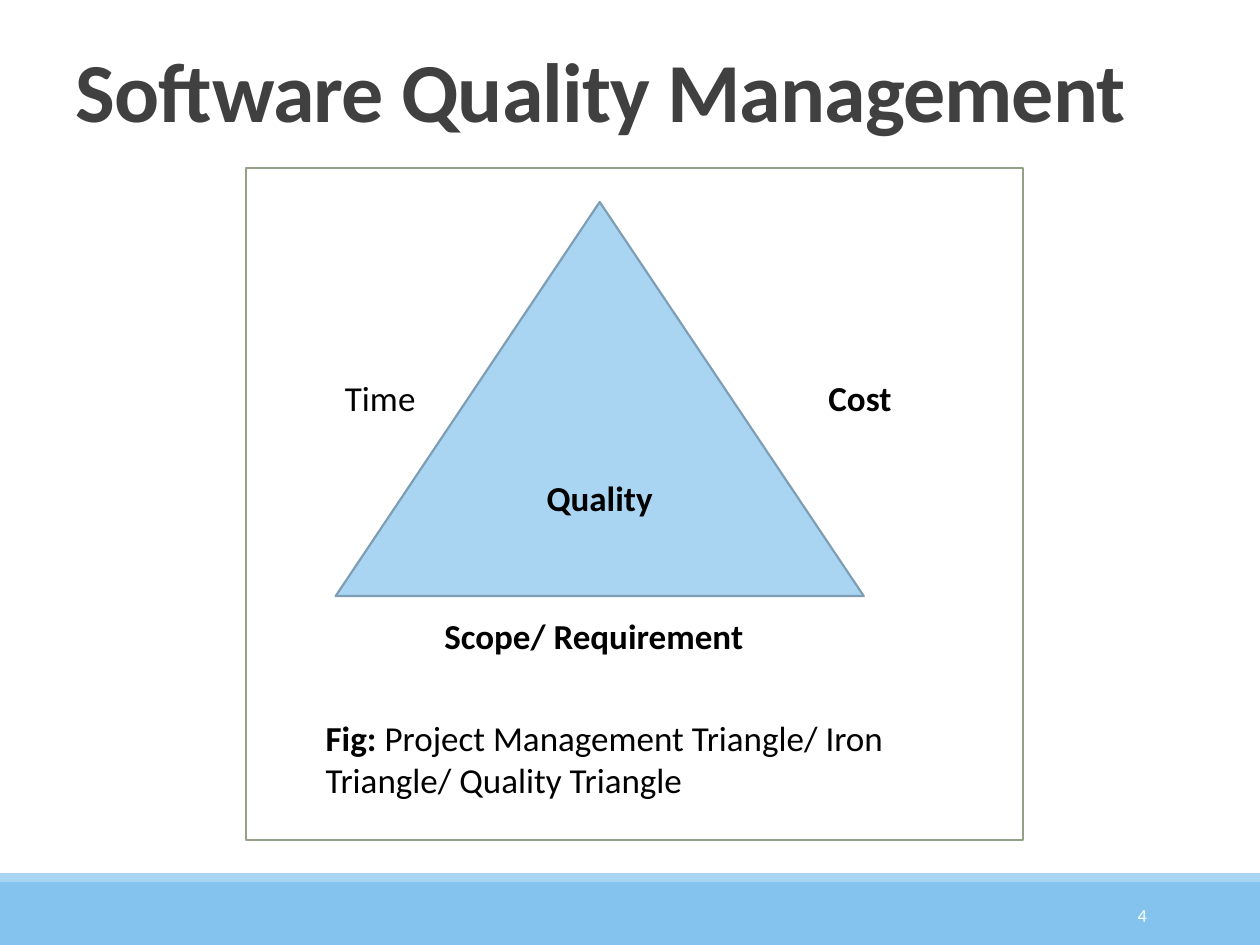
import pptx
import pptx.dml.color
import pptx.enum.shapes
import pptx.enum.text
import pptx.util
from dataclasses import dataclass

Pt = pptx.util.Pt
Shape = pptx.enum.shapes.MSO_SHAPE
Align = pptx.enum.text.PP_ALIGN
Anchor = pptx.enum.text.MSO_ANCHOR


@dataclass(frozen=True)
class Theme:
    font: str = "Calibri"
    title_size: float = 48
    label_size: float = 20
    number_size: float = 10.5
    white: str = "FFFFFF"
    black: str = "000000"
    title: str = "404040"
    band: str = "84C3ED"
    light_blue: str = "A9D5F3"
    frame_line: str = "94A088"
    triangle_line: str = "7D9EB4"
    line_width: float = 1.25


def rgb(color):
    return pptx.dml.color.RGBColor.from_string(color)


class SlideBuilder:
    """Holds the theme and the current slide."""

    def __init__(self, slide, theme):
        self.theme = theme
        self.shapes = slide.shapes

    def start_group(self):
        self.shapes = self.shapes.add_group_shape().shapes

    def shape(self, kind, box, fill, line=None):
        shape = self.shapes.add_shape(kind, *map(Pt, box))
        shape.shadow.inherit = False
        shape.fill.solid()
        shape.fill.fore_color.rgb = rgb(fill)
        if line:
            shape.line.color.rgb = rgb(line)
            shape.line.width = Pt(self.theme.line_width)
        else:
            shape.line.fill.background()
        return shape

    def fill_text(self, shape, text, size, color, bold=False,
                  align=Align.LEFT, anchor=Anchor.TOP):
        frame = shape.text_frame
        frame.word_wrap = True
        frame.vertical_anchor = anchor
        paragraph = frame.paragraphs[0]
        paragraph.text = text
        paragraph.alignment = align
        paragraph.font.name = self.theme.font
        paragraph.font.size = Pt(size)
        paragraph.font.color.rgb = rgb(color)
        paragraph.font.bold = bold
        return paragraph

    def text(self, box, *arguments, **options):
        shape = self.shapes.add_textbox(*map(Pt, box))
        return self.fill_text(shape, *arguments, **options)

    def title(self, box, text):
        paragraph = self.text(box, text, self.theme.title_size, self.theme.title,
                              bold=True, anchor=Anchor.BOTTOM)
        paragraph.line_spacing = 0.85
        # Tighten the letters by half a point
        paragraph.runs[0]._r.get_or_add_rPr().set("spc", "-50")

    def label(self, box, text, bold=True):
        return self.text(box, text, self.theme.label_size, self.theme.black, bold=bold)

    def caption(self, box, lead, text):
        paragraph = self.label(box, lead, bold=False)
        paragraph.runs[0].font.bold = True
        paragraph.add_run().text = text


def main():
    theme = Theme()
    presentation = pptx.Presentation()
    presentation.slide_width, presentation.slide_height = Pt(720), Pt(540)
    slide = presentation.slides.add_slide(presentation.slide_layouts[6])
    builder = SlideBuilder(slide, theme)

    # Footer bands and slide number
    builder.shape(Shape.RECTANGLE, (0, 504, 720, 36), theme.band)
    builder.shape(Shape.RECTANGLE, (0, 499, 720, 5), theme.light_blue)
    builder.text((584.6, 508.3, 77.8, 28.8), "4", theme.number_size, theme.white,
                 align=Align.RIGHT, anchor=Anchor.MIDDLE)

    # Title
    builder.title((36, 22.3, 660, 61.2), "Software Quality Management")

    # Framed triangle
    builder.start_group()
    builder.shape(Shape.RECTANGLE, (140.5, 96, 444, 384), theme.white, theme.frame_line)
    triangle = builder.shape(Shape.ISOSCELES_TRIANGLE, (191.8, 115.4, 301.8, 225.2),
                             theme.light_blue, theme.triangle_line)
    builder.fill_text(triangle, "Quality", theme.label_size, theme.black, bold=True,
                      align=Align.CENTER, anchor=Anchor.MIDDLE)

    # Side labels and caption
    builder.label((190, 211.7, 118, 33.8), "Time", bold=False)
    builder.label((466.3, 211.7, 118, 33.8), "Cost")
    builder.label((246.8, 347.5, 219, 33.8), "Scope/ Requirement")
    builder.caption((179, 406.1, 355, 60.5), "Fig: ",
                    "Project Management Triangle/ Iron Triangle/ Quality Triangle")

    presentation.save("out.pptx")


if __name__ == "__main__":
    main()
